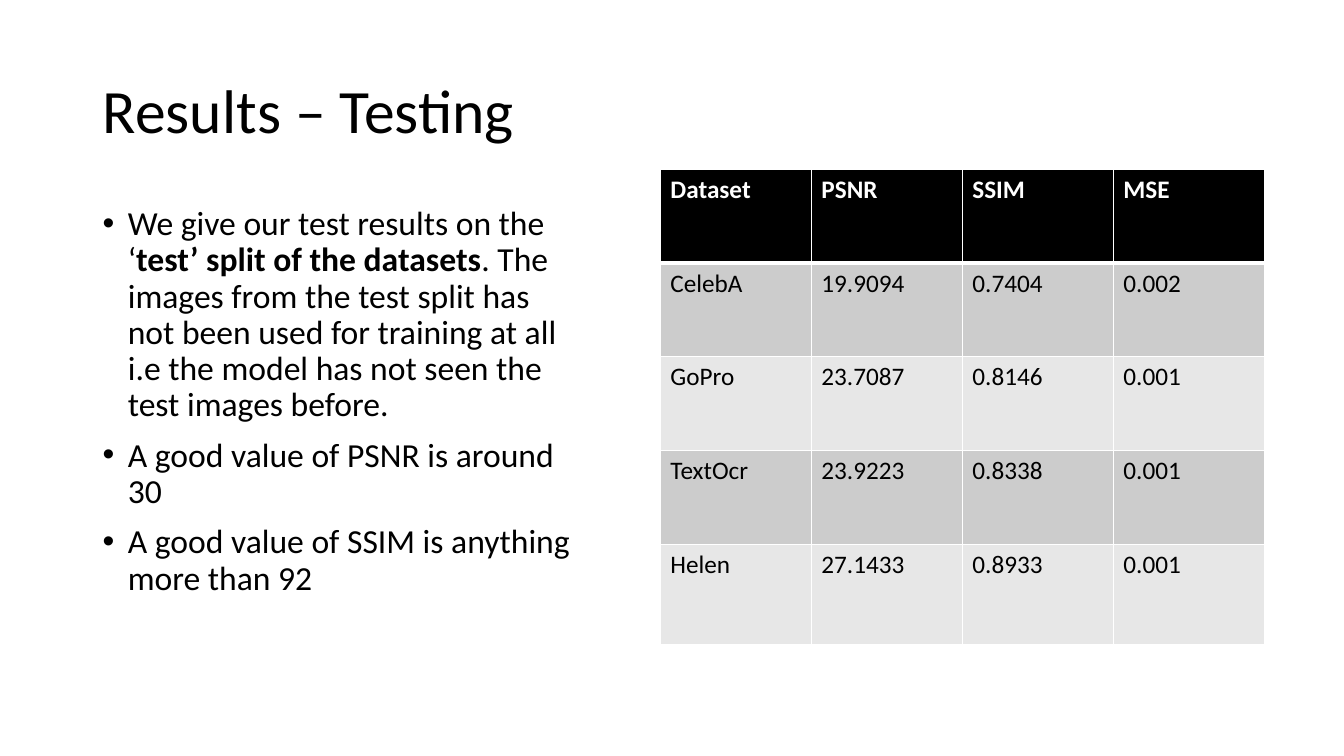
from lxml import etree
from pptx import Presentation
from pptx.dml.color import RGBColor
from pptx.enum.text import MSO_ANCHOR, MSO_AUTO_SIZE, PP_ALIGN
from pptx.oxml.ns import qn
from pptx.util import Inches, Pt

MIDDLE, LEFT, NO_FIT = MSO_ANCHOR.MIDDLE, PP_ALIGN.LEFT, MSO_AUTO_SIZE.NONE
TITLE_ONLY = 5
FONT = "Calibri"
BLACK, WHITE = "000000", "FFFFFF"
BANDS = ["CCCCCC", "E7E7E7"]

BULLETS = [
    [("We give our test results on the ‘", False),
     ("test’ split of the datasets", True),
     (". The images from the test split has not been used for training at all "
      "i.e the model has not seen the test images before.", False)],
    [("A good value of PSNR is around 30", False)],
    [("A good value of SSIM is anything more than 92", False)],
]
RESULTS = [
    ["Dataset", "PSNR", "SSIM", "MSE"],
    ["CelebA", "19.9094", "0.7404", "0.002"],
    ["GoPro", "23.7087", "0.8146", "0.001"],
    ["TextOcr", "23.9223", "0.8338", "0.001"],
    ["Helen", "27.1433", "0.8933", "0.001"],
]
ROW_HEIGHTS = [0.93, 0.93, 0.93, 0.93, 1]


def rgb(color):
    return RGBColor.from_string(color)


def add_text(p, text, size=18, color=BLACK, bold=False):
    r = p.add_run()
    r.text = text
    r.font.name = FONT
    r.font.size = Pt(size)
    r.font.bold = bold
    r.font.color.rgb = rgb(color)


def set_title(s, text):
    title = s.shapes.title
    title.left, title.top = Inches(0.92), Inches(0.4)
    title.width, title.height = Inches(11.5), Inches(1.45)
    tf = title.text_frame
    tf.auto_size = NO_FIT
    tf.vertical_anchor = MIDDLE
    p = tf.paragraphs[0]
    p.alignment = LEFT
    p.line_spacing = 0.9
    add_text(p, text, size=44)


def add_bullets(s, bullets):
    sp = s.shapes.add_textbox(Inches(0.92), Inches(2), Inches(4.84), Inches(4.76))
    tf = sp.text_frame
    tf.word_wrap = True
    for i, runs in enumerate(bullets):
        p = tf.add_paragraph() if i else tf.paragraphs[0]
        p.line_spacing = 0.9
        p.space_before = Pt(10 if i else 0)
        pPr = p._p.get_or_add_pPr()
        pPr.set("marL", str(Inches(0.25)))
        pPr.set("indent", str(Inches(-0.25)))
        etree.SubElement(pPr, qn("a:buFont"), typeface="Arial")
        etree.SubElement(pPr, qn("a:buChar"), char="•")
        for text, bold in runs:
            add_text(p, text, size=24, bold=bold)


def set_borders(cell, **widths):
    """Draw white borders; keys are the edges L, R, T, B and values are points."""
    tcPr = cell._tc.get_or_add_tcPr()
    for i, (edge, width) in enumerate(widths.items()):
        ln = etree.Element(qn(f"a:ln{edge}"), w=str(Pt(width)))
        fill = etree.SubElement(ln, qn("a:solidFill"))
        etree.SubElement(fill, qn("a:srgbClr"), val=WHITE)
        tcPr.insert(i, ln)


def add_results_table(s, rows):
    table = s.shapes.add_table(len(rows), len(rows[0]), Inches(6.55), Inches(1.68),
                               Inches(5.99), Inches(sum(ROW_HEIGHTS))).table
    for i, values in enumerate(rows):
        table.rows[i].height = Inches(ROW_HEIGHTS[i])
        header = i == 0
        for j, value in enumerate(values):
            cell = table.cell(i, j)
            cell.fill.solid()
            cell.fill.fore_color.rgb = rgb(BLACK if header else BANDS[(i - 1) % 2])
            set_borders(cell, L=1, R=1, T=3 if i == 1 else 1, B=3 if header else 1)
            add_text(cell.text_frame.paragraphs[0], value,
                     color=WHITE if header else BLACK, bold=header)


def main():
    prs = Presentation()
    prs.slide_width, prs.slide_height = Inches(13.33), Inches(7.5)
    s = prs.slides.add_slide(prs.slide_layouts[TITLE_ONLY])
    set_title(s, "Results – Testing")
    add_bullets(s, BULLETS)
    add_results_table(s, RESULTS)
    prs.save("out.pptx")


if __name__ == "__main__":
    main()
